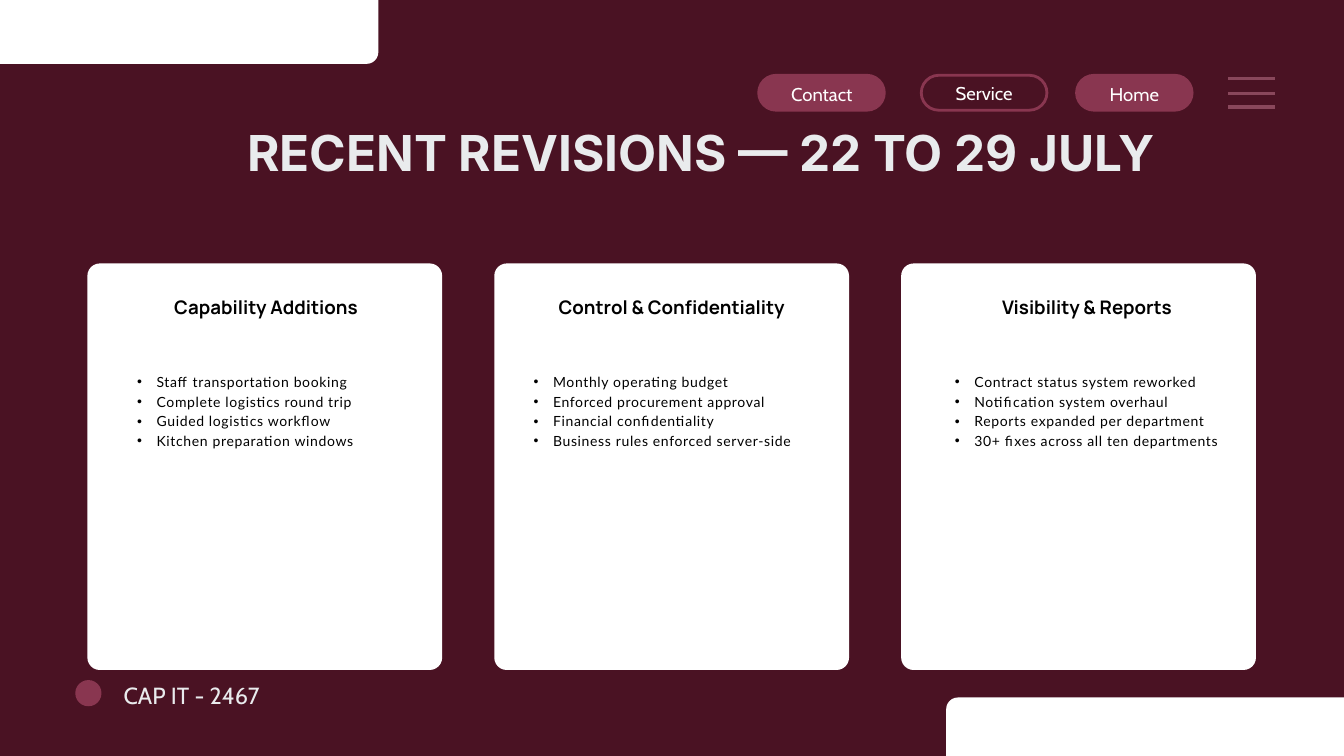
from pptx import Presentation
from pptx.dml.color import RGBColor
from pptx.enum.shapes import MSO_CONNECTOR as Link, MSO_SHAPE as Kind
from pptx.enum.text import MSO_ANCHOR as Anchor, MSO_AUTO_SIZE as Fit, PP_ALIGN as Align
from pptx.oxml.ns import qn
from pptx.util import Inches, Pt
from lxml.etree import SubElement as Sub

WINE, ROSE, BAR = "4A1223", "893650", "89475B"
WHITE, BLACK, PALE = "FFFFFF", "000000", "E9EBED"

PILLS = [
    ("Home", 16.02, 1.72, True, (16.13, 1.18, 1.5, 0.37)),
    ("Service", 13.71, 1.87, False, (13.81, 1.16, 1.67, 0.37)),
    ("Contact", 11.29, 1.87, True, (11.45, 1.18, 1.56, 0.37)),
]
CARDS = [
    ("Capability Additions", 2.24, 3.44, 1.75, 4.42,
     ["Staff transportation booking", "Complete logistics round trip",
      "Guided logistics workflow", "Kitchen preparation windows"]),
    ("Control & Confidentiality", 7.73, 4.53, 7.65, 4.7,
     ["Monthly operating budget", "Enforced procurement approval",
      "Financial confidentiality", "Business rules enforced server-side"]),
    ("Visibility & Reports", 14.08, 4.19, 13.92, 4.42,
     ["Contract status system reworked", "Notification system overhaul",
      "Reports expanded per department", "30+ fixes across all ten departments"]),
]


def color(code):
    return RGBColor.from_string(code)


def place(shape, box):
    shape.left, shape.top, shape.width, shape.height = map(Inches, box)


def add_block(slide, kind, box, fill=None, edge=None, round_by=None):
    shape = slide.shapes.add_shape(kind, *map(Inches, box))
    shape.shadow.inherit = False
    if round_by is not None:
        shape.adjustments[0] = round_by
    if fill:
        shape.fill.solid()
        shape.fill.fore_color.rgb = color(fill)
    else:
        shape.fill.background()
    if edge:
        shape.line.color.rgb = color(edge)
        shape.line.width = Pt(3)
    else:
        shape.line.fill.background()


def add_bar(slide, y):
    bar = slide.shapes.add_connector(
        Link.STRAIGHT, Inches(18.28), Inches(y), Inches(18.97), Inches(y))
    bar.line.color.rgb = color(BAR)
    bar.line.width = Pt(4)
    Sub(bar._element.spPr, qn("a:effectLst"))


def add_bullet(para):
    para.level = 1
    props = para._p.get_or_add_pPr()
    props.set("marL", str(Inches(0.58)))
    props.set("indent", str(-Inches(0.29)))
    Sub(props, qn("a:buFont")).set("typeface", "Arial")
    Sub(props, qn("a:buChar")).set("char", "•")


def write(shape, lines, font, size, code, lead, align=Align.CENTER, bold=False, bullet=False):
    frame = shape.text_frame
    frame.word_wrap = True
    frame.auto_size = Fit.NONE
    frame.vertical_anchor = Anchor.TOP
    frame.margin_left = frame.margin_right = frame.margin_top = frame.margin_bottom = 0
    for i, line in enumerate(lines):
        para = frame.add_paragraph() if i else frame.paragraphs[0]
        if bullet:
            add_bullet(para)
        para.alignment = align
        para.line_spacing = Pt(lead)
        run = para.add_run()
        run.text = line
        run.font.name = font
        run.font.size = Pt(size)
        run.font.bold = bold
        run.font.color.rgb = color(code)
        if bullet:
            run._r.get_or_add_rPr().set("spc", "70")


def add_text(slide, box, lines, *style, **more):
    write(slide.shapes.add_textbox(*map(Inches, box)), lines, *style, **more)


def add_pill(slide, label, left, width, solid, box):
    add_block(slide, Kind.ROUNDED_RECTANGLE, (left, 1.12, width, 0.52),
              ROSE if solid else None, ROSE, 0.5)
    add_text(slide, box, [label], "Cabin", 19.8, WHITE, 27.8)


def add_card(slide, left, head, head_x, head_w, list_x, list_w, items):
    add_block(slide, Kind.ROUNDED_RECTANGLE, (left, 3.92, 5.28, 6.05), WHITE, round_by=0.035)
    add_text(slide, (head_x, 4.34, head_w, 0.4), [head], "Manrope", 20, BLACK, 28, bold=True)
    add_text(slide, (list_x, 5.52, list_w, 3.72), items, "Lato", 15, BLACK, 21,
             align=Align.LEFT, bullet=True)


def main():
    deck = Presentation()
    deck.slide_width, deck.slide_height = Inches(20), Inches(11.25)
    slide = deck.slides.add_slide(deck.slide_layouts[5])
    slide.background.fill.solid()
    slide.background.fill.fore_color.rgb = color(WINE)

    title = slide.shapes.title
    place(title, (1.12, 1.93, 18.64, 0.94))
    write(title, ["RECENT REVISIONS — 22 TO 29 JULY"], "Inter", 53, PALE, 55.6, bold=True)

    for pill in PILLS:
        add_pill(slide, *pill)
    for i, card in enumerate(CARDS):
        add_card(slide, 1.3 + i * 6.055, *card)
    for left, top in ((14.08, 10.38), (-4.85, -1.68)):
        add_block(slide, Kind.ROUNDED_RECTANGLE, (left, top, 10.48, 2.63), WHITE, round_by=0.066)
    for y in (1.17, 1.39, 1.59):
        add_bar(slide, y)

    add_block(slide, Kind.OVAL, (1.12, 10.12, 0.39, 0.39), ROSE)
    add_text(slide, (1.84, 10.07, 5.16, 0.46), ["CAP IT - 2467"], "Cabin", 25, PALE, 35,
             align=Align.LEFT)
    deck.save("out.pptx")


if __name__ == "__main__":
    main()
